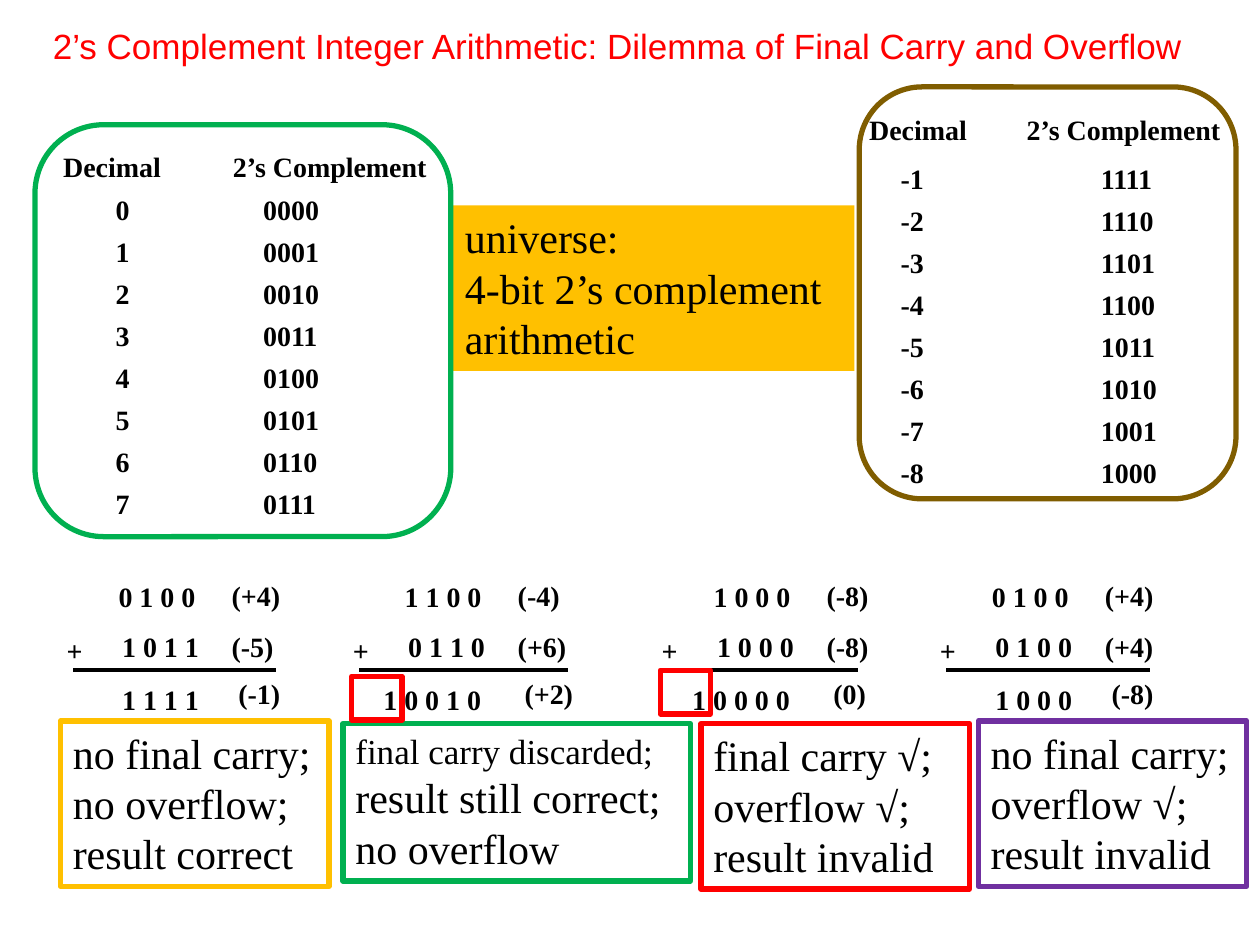
from lxml import etree
from pptx import Presentation, util as u
from pptx.dml.color import RGBColor
from pptx.enum import shapes, text
from pptx.oxml import ns

COLORS = {
    "black": "000000", "red": "FF0000", "amber": "FFC000",
    "green": "00B050", "brown": "805D00", "purple": "7030A0",
}
SERIF = "Times New Roman"
BOLD = {"name": SERIF, "size": u.Pt(16), "bold": True}
NOTE = {"name": SERIF, "size": u.Pt(24)}
SMALL_NOTE = {"name": SERIF, "size": u.Pt(20)}
TITLE = {"name": "Arial", "size": u.Pt(20)}
ADVANCES = {" ": 4, "(": 5.33, ")": 5.33, "-": 5.33, "+": 9.12}
ROW_STEP = 24

SUMS = [
    (31, 116, [("0 1 0 0", "(+4)"), ("1 0 1 1", "(-5)"), ("1 1 1 1", "(-1)")]),
    (194.5, 119.5, [("1 1 0 0", "(-4)"), ("0 1 1 0", "(+6)"), ("1 0 0 1 0", "(+2)")]),
    (371, 108.5, [("1 0 0 0", "(-8)"), ("1 0 0 0", "(-8)"), ("1 0 0 0 0", "(0)")]),
    (530, 116.5, [("0 1 0 0", "(+4)"), ("0 1 0 0", "(+4)"), ("1 0 0 0", "(-8)")]),
]
VERDICTS = [
    ((34.5, 412, 153.5, 94.5), "amber",
     [("no final carry;", NOTE), ("no overflow;", NOTE), ("result correct", NOTE)]),
    ((196, 413.5, 198.5, 90), "green",
     [("final carry discarded;", SMALL_NOTE), ("result still correct;", NOTE), ("no overflow", NOTE)]),
    ((400.5, 413.5, 153.5, 94.5), "red",
     [("final carry √;", NOTE), ("overflow √;", NOTE), ("result invalid", NOTE)]),
    ((559, 412, 153.5, 94.5), "purple",
     [("no final carry;", NOTE), ("overflow √;", NOTE), ("result invalid", NOTE)]),
]
CODE_TABLES = [
    {"numbers": range(8), "header": (29, 126, 82), "rows": (59, 143.3, 106.5),
     "frame": (20, 71.3, 237.6, 235.4), "color": "green"},
    {"numbers": range(-1, -9, -1), "header": (489.6, 579.6, 60.5), "rows": (507.6, 622, 88.6),
     "frame": (491, 49.7, 215.3, 235.4), "color": "brown"},
]
CARRY_FRAMES = [(201, 386.5, 28.8, 25), (377.3, 383, 28.8, 25)]


def rgb(color):
    """Return the named colour."""
    return RGBColor.from_string(COLORS[color])


def write_lines(shape, lines, color="black"):
    """Fill a shape with one paragraph per (wording, format) pair."""
    frame = shape.text_frame
    for index, (wording, style) in enumerate(lines):
        paragraph = frame.add_paragraph() if index else frame.paragraphs[0]
        paragraph.alignment = text.PP_ALIGN.LEFT
        run = paragraph.add_run()
        run.text = wording
        for attribute, value in style.items():
            setattr(run.font, attribute, value)
        run.font.color.rgb = rgb(color)


def add_label(slide, wording, left, top, width=None):
    """Add an unwrapped bold label, as wide as its characters by default."""
    width = width or 14.4 + sum(ADVANCES.get(letter, 8) for letter in wording)
    shape = slide.shapes.add_textbox(u.Pt(left), u.Pt(top), u.Pt(width), u.Pt(26.5))
    shape.text_frame.word_wrap = False
    shape.text_frame.auto_size = text.MSO_AUTO_SIZE.SHAPE_TO_FIT_TEXT
    write_lines(shape, [(wording, BOLD)])


def add_box(slide, place, line=None, fill=None, lines=(), kind=shapes.MSO_SHAPE.RECTANGLE):
    """Add a box with an optional outline, fill and text."""
    shape = slide.shapes.add_shape(kind, *map(u.Pt, place))
    shape.shadow.inherit = False
    if fill:
        shape.fill.solid()
        shape.fill.fore_color.rgb = rgb(fill)
    else:
        shape.fill.background()
    if line:
        shape.line.color.rgb = rgb(line)
        shape.line.width = u.Pt(3)
    else:
        shape.line.fill.background()
    if lines:
        frame = shape.text_frame
        settings = {"word_wrap": True, "vertical_anchor": text.MSO_ANCHOR.TOP,
                    "auto_size": text.MSO_AUTO_SIZE.SHAPE_TO_FIT_TEXT}
        for attribute, value in settings.items():
            setattr(frame, attribute, value)
        write_lines(shape, lines)


def add_rule(slide, left, top, length):
    """Add a horizontal sum line."""
    rule = slide.shapes.add_connector(
        shapes.MSO_CONNECTOR.STRAIGHT, u.Pt(left), u.Pt(top), u.Pt(left + length), u.Pt(top))
    rule.line.color.rgb = rgb("black")
    rule.line.width = u.Pt(2)
    etree.SubElement(rule._element.spPr, ns.qn("a:effectLst"))


def add_title(slide, wording):
    """Add the red heading."""
    shape = slide.shapes.add_textbox(u.Pt(25.2), u.Pt(15), u.Pt(680.4), u.Pt(25.2))
    frame = shape.text_frame
    settings = {"word_wrap": True, "margin_left": u.Pt(5), "margin_right": u.Pt(5),
                "margin_top": u.Pt(2), "margin_bottom": u.Pt(2),
                "auto_size": text.MSO_AUTO_SIZE.SHAPE_TO_FIT_TEXT}
    for attribute, value in settings.items():
        setattr(frame, attribute, value)
    write_lines(shape, [(wording, TITLE)], "red")
    frame.paragraphs[0].line_spacing = 0.87


def add_sum(slide, left, length, rows):
    """Add a binary sum with the decimal value beside each row."""
    (first, first_value), (second, second_value), (total, total_value) = rows
    add_label(slide, first, left + 29.7, 327.6)
    add_label(slide, " " + first_value, left + 90.3, 326.9)
    add_label(slide, "+", left, 358.6)
    add_label(slide, second, left + 31.7, 356.4)
    add_label(slide, second_value, left + 94.3, 356.4)
    add_rule(slide, left + 10.8, 383, length)
    add_label(slide, total, left + (17.5 if len(total) > len(first) else 31.7), 386.6)
    add_label(slide, total_value, left + 98.2, 383)


def add_code_table(slide, numbers, header, rows, frame, color):
    """Add a framed list of decimals and their 4-bit codes."""
    decimal_left, code_left, top = header
    add_label(slide, "Decimal", decimal_left, top, 70.6)
    add_label(slide, "2’s Complement", code_left, top, 126)
    decimal_left, code_left, top = rows
    for index, number in enumerate(numbers):
        add_label(slide, str(number), decimal_left, top + index * ROW_STEP)
        add_label(slide, f"{number % 16:04b}", code_left, top + index * ROW_STEP)
    add_box(slide, frame, color, kind=shapes.MSO_SHAPE.ROUNDED_RECTANGLE)


def main():
    """Build and save the slide."""
    presentation = Presentation()
    presentation.slide_width, presentation.slide_height = u.Pt(720), u.Pt(540)
    slide = presentation.slides.add_slide(presentation.slide_layouts[6])
    add_title(slide, "2’s Complement Integer Arithmetic: Dilemma of Final Carry and Overflow")
    for sum_data, (place, color, lines) in zip(SUMS, VERDICTS):
        add_sum(slide, *sum_data)
        add_box(slide, place, color, lines=lines)
    add_box(slide, (258.5, 117.4, 229.7, 94.5), fill="amber",
            lines=[("universe:", NOTE), ("4-bit 2’s complement arithmetic", NOTE)])
    for table in CODE_TABLES:
        add_code_table(slide, **table)
    for place in CARRY_FRAMES:
        add_box(slide, place, "red")
    presentation.save("out.pptx")


if __name__ == "__main__":
    main()
